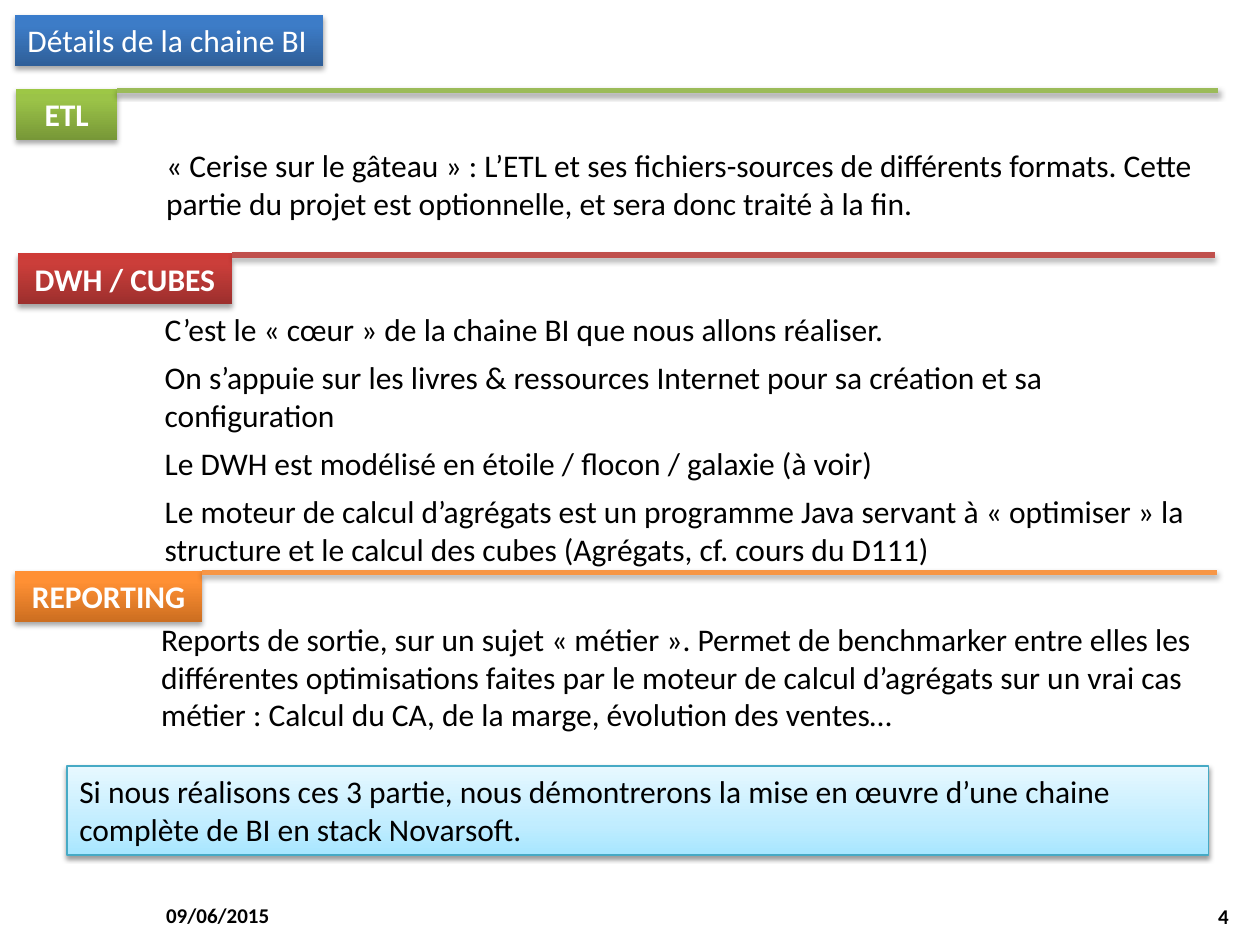
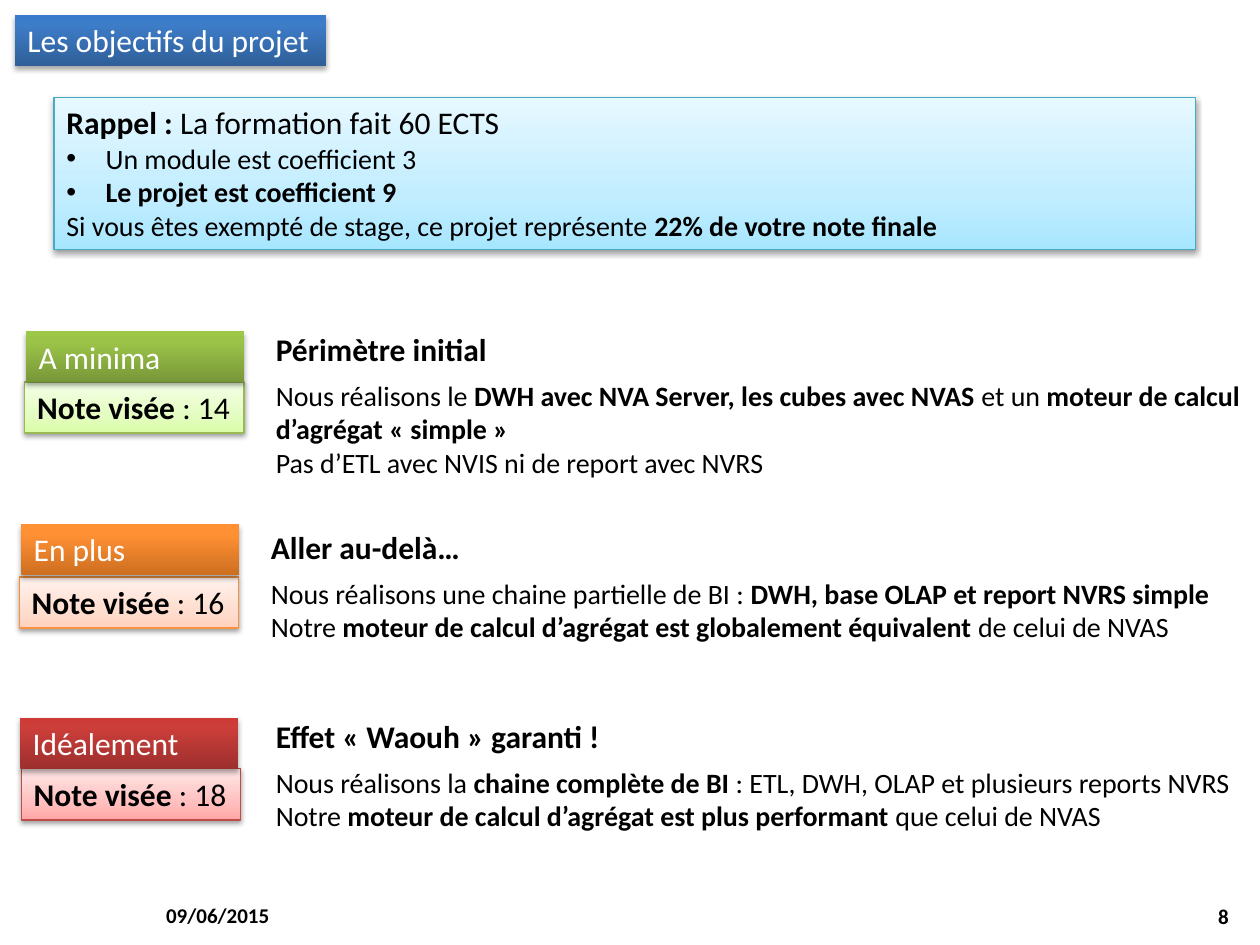
from dataclasses import dataclass
from pptx import Presentation
from pptx.dml.color import RGBColor
from pptx.enum.shapes import MSO_CONNECTOR, MSO_SHAPE
from pptx.enum.text import MSO_ANCHOR, MSO_AUTO_SIZE, PP_ALIGN
from pptx.oxml.ns import qn
from pptx.util import Cm, Pt
from lxml.etree import SubElement


@dataclass(frozen=True)
class Tone:
    strong: tuple        # gradient stops, bottom to top
    soft: tuple = ()
    rule: str = ""       # line beside a section tag
    border: str = ""     # outline of a soft panel


@dataclass(frozen=True)
class Theme:
    font: str = "Calibri"
    text: str = "000000"
    inverse: str = "FFFFFF"
    large: int = 18
    medium: int = 16
    small: int = 12
    bar: float = 1.03    # height of titles and tags, cm
    blue: Tone = Tone(("2F5F99", "3D7CC7", "3A7CCB"))
    aqua: Tone = Tone((), ("A7E6FF", "C1EDFF", "E7F8FF"), border="46AAC5")
    green: Tone = Tone(("779737", "9BC348", "9DC746"),
                       ("DAFDA7", "E4FCC2", "F5FFE7"), "9BBB59", "98B955")
    red: Tone = Tone(("9C2F2D", "CB3E3A", "CE3B37"),
                     ("FFA6A5", "FFC0BF", "FFE7E7"), "C0504D", "BF4C48")
    orange: Tone = Tone(("CC6E20", "FF9034", "FF9136"),
                        ("FFD2BD", "FFDED0", "FFF2ED"), "F79646", "F69240")


T = Theme()


@dataclass(frozen=True)
class Para:
    text: str            # *...* marks bold
    size: int = T.large
    before: float = 0
    after: float = 0
    bullet: bool = False


def box(x, y, w, h):
    return [Cm(v) for v in (x, y, w, h)]


# ---- Formatting helpers ----
def add_shadow(shape, alpha, distance):
    effects = SubElement(shape._element.spPr, qn("a:effectLst"))
    shadow = SubElement(effects, qn("a:outerShdw"), blurRad=str(Pt(3.1)),
                        dist=str(Pt(distance)), dir="5400000", rotWithShape="0")
    color = SubElement(shadow, qn("a:srgbClr"), val="000000")
    SubElement(color, qn("a:alpha"), val=str(alpha * 1000))


def paint(shape, colors, middle, border=""):
    """Vertical gradient, optional outline and soft drop shadow."""
    shape.fill.gradient()
    shape.fill.gradient_angle = 90
    stops = shape._element.spPr.find(".//" + qn("a:gsLst"))
    for stop in list(stops):
        stops.remove(stop)
    for pos, color in zip((0, middle, 100), colors):
        stop = SubElement(stops, qn("a:gs"), pos=str(pos * 1000))
        SubElement(stop, qn("a:srgbClr"), val=color)
    if border:
        shape.line.color.rgb = RGBColor.from_string(border)
        shape.line.width = Pt(0.75)
        add_shadow(shape, 38, 1.6)
    else:
        shape.line.fill.background()
        add_shadow(shape, 35, 1.8)


def write(shape, paras, color=T.text, align=PP_ALIGN.LEFT, **frame):
    tf = shape.text_frame
    settings = dict(word_wrap=True, vertical_anchor=MSO_ANCHOR.TOP,
                    auto_size=MSO_AUTO_SIZE.SHAPE_TO_FIT_TEXT) | frame
    for name, value in settings.items():
        setattr(tf, name, value)
    for i, para in enumerate(paras):
        p = tf.add_paragraph() if i else tf.paragraphs[0]
        if para.bullet:
            pPr = p._p.get_or_add_pPr()
            pPr.set("marL", str(Cm(0.79)))
            pPr.set("indent", str(-Cm(0.79)))
            SubElement(pPr, qn("a:buFont"), typeface="Arial")
            SubElement(pPr, qn("a:buChar"), char="•")
        spacing = dict(alignment=align, space_after=Pt(para.after),
                       space_before=Pt(para.before if i else 0))
        for name, value in spacing.items():
            setattr(p, name, value)
        for n, part in enumerate(para.text.split("*")):
            if part:
                r = p.add_run()
                r.text = part
                r.font.color.rgb = RGBColor.from_string(color)
                look = dict(name=T.font, size=Pt(para.size), bold=n % 2 == 1)
                for name, value in look.items():
                    setattr(r.font, name, value)


# ---- Building blocks ----
def add_text(s, area, paras, **style):
    write(s.shapes.add_textbox(*box(*area)), paras, **style)


def add_panel(s, area, paras, colors, middle, border="", **style):
    sp = s.shapes.add_shape(MSO_SHAPE.RECTANGLE, *box(*area))
    paint(sp, colors, middle, border)
    write(sp, paras, **style)


def add_tag(s, area, text, tone, align=PP_ALIGN.LEFT):
    add_panel(s, area, [Para(text)], tone.strong, 80, color=T.inverse, align=align)


def add_note(s, area, paras, tone):
    add_panel(s, area, paras, tone.soft, 35, tone.border)


def new_slide(prs, title, title_width, number):
    s = prs.slides.add_slide(prs.slide_layouts[5])
    sp = s.shapes.title
    for name, value in zip(("left", "top", "width", "height"),
                           box(0.3, 0.3, title_width, T.bar)):
        setattr(sp, name, value)
    paint(sp, T.blue.strong, 80)
    write(sp, [Para(title)], color=T.inverse, word_wrap=False,
          auto_size=MSO_AUTO_SIZE.NONE)
    # Footer: date and slide number
    for x, y, text, align in ((3.1, 17.93, "09/06/2015", PP_ALIGN.LEFT),
                              (19.1, 17.96, number, PP_ALIGN.RIGHT)):
        add_text(s, (x, y, 5.92, 1.02), [Para(f"*{text}*", T.small)], align=align,
                 vertical_anchor=MSO_ANCHOR.MIDDLE, auto_size=MSO_AUTO_SIZE.NONE)
    return s


def add_section(s, area, tag, tag_width, tone, text_at, text_height, paras):
    """Tag, rule to the right edge, and text offset from the tag."""
    x, y, w = area
    dx, dy = text_at
    add_tag(s, (x, y, tag_width, T.bar), f"*{tag}*", tone, PP_ALIGN.CENTER)
    add_text(s, (x + dx, y + dy, 21.51, text_height), paras)
    rule = s.shapes.add_connector(MSO_CONNECTOR.STRAIGHT, Cm(x + tag_width),
                                  Cm(y + 0.03), Cm(x + w), Cm(y + 0.03))
    rule.line.color.rgb = RGBColor.from_string(tone.rule)
    rule.line.width = Pt(3)
    add_shadow(rule, 35, 1.8)


def add_goal(s, area, tag, grade, tone, note_at, text_at, heading, lines):
    """Tag with its target grade on the left, description on the right."""
    x, y, w, h = area
    dx, dy = text_at
    add_note(s, (x + note_at[0], y + note_at[1], 4.42, T.bar),
             [Para(f"*Note visée *: {grade}")], tone)
    add_tag(s, (x, y, 4.39, T.bar), tag, tone)
    add_text(s, (x + dx, y + dy, w - dx, h),
             [Para(f"*{heading}*", after=6)] + [Para(t, T.medium) for t in lines])


# ---- Slides ----
def build_chain(prs):
    s = new_slide(prs, "Détails de la chaine BI", 6.22, "4")
    spaced = dict(before=3, after=3)
    sections = [
        ((0.33, 1.8, 24.23), "ETL", 2.03, T.green, (2.77, 1.02), 1.8,
         ["« Cerise sur le gâteau » : L’ETL et ses fichiers-sources de différents "
          "formats. Cette partie du projet est optionnelle, et sera donc traité à la fin."]),
        ((0.36, 5.11, 24.13), "DWH / CUBES", 4.32, T.red, (2.71, 1.01), 5.51,
         ["C’est le « cœur » de la chaine BI que nous allons réaliser.",
          "On s’appuie sur les livres & ressources Internet pour sa création et sa "
          "configuration",
          "Le DWH est modélisé en étoile / flocon / galaxie (à voir)",
          "Le moteur de calcul d’agrégats est un programme Java servant à "
          "« optimiser » la structure et le calcul des cubes (Agrégats, cf. cours "
          "du D111)"]),
        ((0.3, 11.51, 24.24), "REPORTING", 3.78, T.orange, (2.7, 0.86), 2.57,
         ["Reports de sortie, sur un sujet « métier ». Permet de benchmarker entre "
          "elles les différentes optimisations faites par le moteur de calcul "
          "d’agrégats sur un vrai cas métier : Calcul du CA, de la marge, évolution "
          "des ventes…"]),
    ]
    for *place, texts in sections:
        add_section(s, *place, [Para(t, **spaced) for t in texts])
    add_note(s, (1.35, 15.44, 23.01, 1.8), [Para(
        "Si nous réalisons ces 3 partie, nous démontrerons la mise en œuvre d’une "
        "chaine complète de BI en stack Novarsoft.", **spaced)], T.aqua)


def build_goals(prs):
    s = new_slide(prs, "Les objectifs du projet", 6.27, "8")
    add_note(s, (1.09, 1.96, 23.01, 3.07), [
        Para("*Rappel : *La formation fait 60 ECTS"),
        Para("Un module est coefficient 3", T.medium, bullet=True),
        Para("*Le projet est coefficient 9*", T.medium, bullet=True),
        Para("Si vous êtes exempté de stage, ce projet représente "
             "*22% de votre note finale*", T.medium)], T.aqua)
    goals = [
        ((0.53, 6.68, 24.87, 3.3), "A minima", 14, T.green, (-0.03, 1.02),
         (4.78, -0.15), "Périmètre initial",
         ["Nous réalisons le *DWH avec NVA Server, les cubes avec NVAS *et un "
          "*moteur de calcul d’agrégat « simple »*",
          "Pas d’ETL avec NVIS ni de report avec NVRS"]),
        ((0.43, 10.57, 24.97, 2.62), "En plus", 16, T.orange, (-0.04, 1.06),
         (4.78, -0.05), "Aller au-delà…",
         ["Nous réalisons une chaine partielle de BI : "
          "*DWH, base OLAP et report NVRS simple*",
          "Notre *moteur de calcul d’agrégat est globalement équivalent *de celui "
          "de NVAS"]),
        ((0.41, 14.48, 24.99, 2.62), "Idéalement", 18, T.red, (0.02, 1.02),
         (4.9, -0.15), "Effet « Waouh » garanti !",
         ["Nous réalisons la *chaine complète de BI* : ETL, DWH, OLAP et plusieurs "
          "reports NVRS",
          "Notre *moteur de calcul d’agrégat est plus performant *que celui de NVAS"]),
    ]
    for goal in goals:
        add_goal(s, *goal)


def main():
    prs = Presentation()
    prs.slide_width, prs.slide_height = Cm(25.4), Cm(19.05)
    build_chain(prs)
    build_goals(prs)
    prs.save("out.pptx")


if __name__ == "__main__":
    main()
